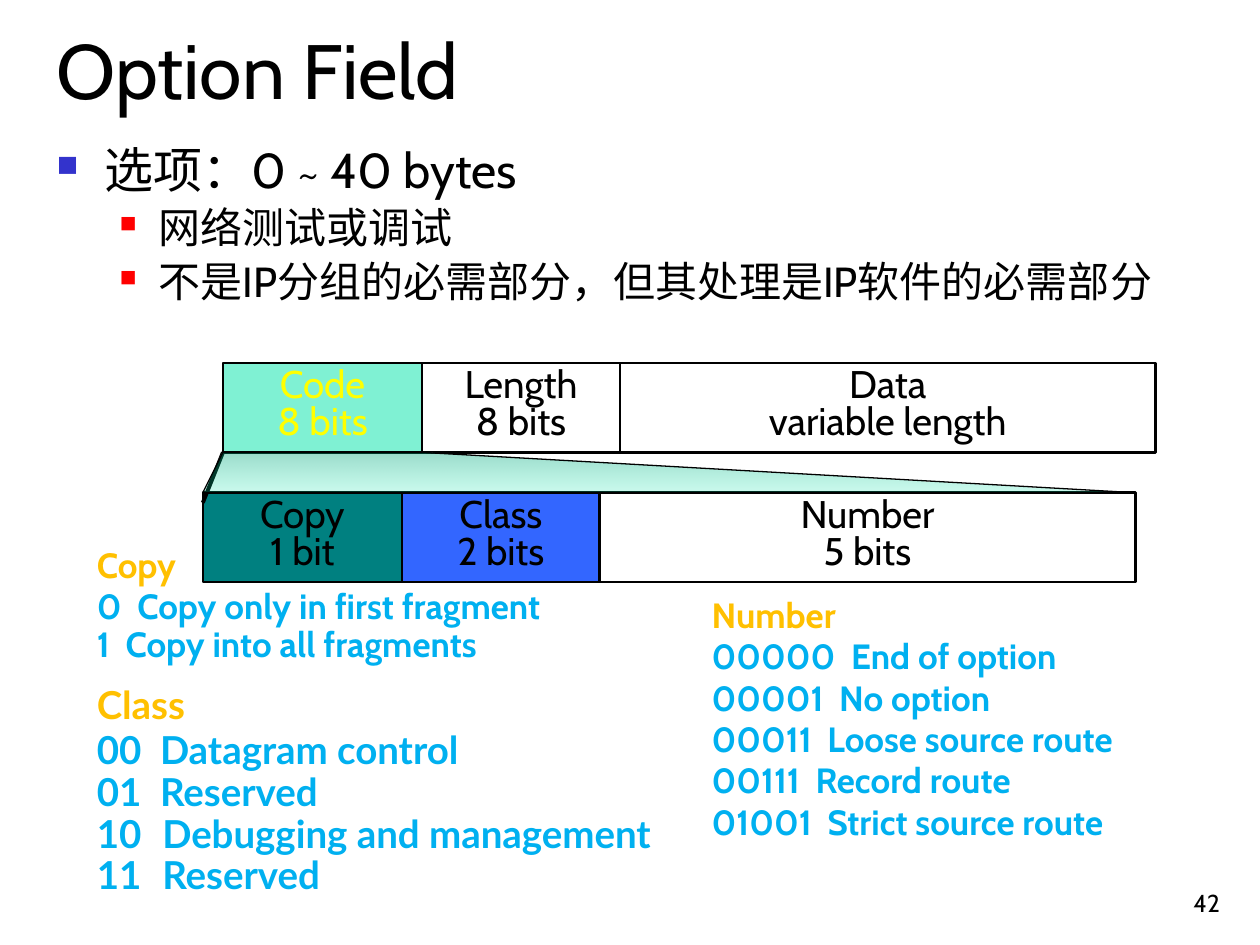
from dataclasses import dataclass

from lxml import etree
from pptx import Presentation
from pptx.dml.color import RGBColor
from pptx.enum.shapes import MSO_CONNECTOR, MSO_SHAPE
from pptx.enum.text import MSO_ANCHOR, PP_ALIGN
from pptx.oxml.ns import qn
from pptx.util import Inches, Pt

RECTANGLE = MSO_SHAPE.RECTANGLE
STRAIGHT = MSO_CONNECTOR.STRAIGHT
LEFT, CENTER, RIGHT = PP_ALIGN.LEFT, PP_ALIGN.CENTER, PP_ALIGN.RIGHT
TOP, BOTTOM = MSO_ANCHOR.TOP, MSO_ANCHOR.BOTTOM


@dataclass(frozen=True)
class Theme:
    font: str = "Cabin"
    class_font: str = "Lato"
    ink: str = "000000"
    heading: str = "FFC000"
    value: str = "00B0F0"
    code_text: str = "FFFF00"
    code: str = "00E4A8"
    code_dark: str = "00A378"
    copy: str = "008080"
    klass: str = "3366FF"
    topic_mark: str = "3333CC"
    point_mark: str = "FF0000"
    title_size: int = 44
    topic_size: int = 28
    point_size: int = 24
    cell_size: int = 22
    list_size: int = 20
    page_size: int = 14


THEME = Theme()
SLIDE_W, SLIDE_H = Inches(10), Inches(7.5)
COLUMNS = 1000
UNIT = SLIDE_W // COLUMNS

TITLE = "Option Field"
PAGE = "42"
TOPIC = "选项：0 ~ 40 bytes"
POINTS = ["网络测试或调试", "不是IP分组的必需部分，但其处理是IP软件的必需部分"]

FIELD_WIDTHS = (158, 157, 425)
FIELD_HEIGHT = 71
OPTION_AT, CODE_AT = (177, 288), (161, 391)
OPTION_FIELDS = [
    (["Code", "8 bits"], THEME.code, 50, THEME.code_text),
    (["Length", "8 bits"], None, None, THEME.ink),
    (["Data", "variable length"], None, None, THEME.ink),
]
CODE_FIELDS = [
    (["Copy", "1 bit"], THEME.copy, None, THEME.ink),
    (["Class", "2 bits"], THEME.klass, None, THEME.ink),
    (["Number", "5 bits"], None, None, THEME.ink),
]

COPY_VALUES = ["0  Copy only in first fragment", "1  Copy into all fragments"]
CLASS_VALUES = ["00  Datagram control", "01  Reserved"]
CLASS_NUMBERED = ["Debugging and management", "Reserved"]
NUMBER_VALUES = [
    "00000  End of option",
    "00001  No option",
    "00011  Loose source route",
    "00111  Record route",
    "01001  Strict source route",
]


def add_xml(parent, tag, **attributes):
    return etree.SubElement(parent, qn(tag), attributes)


def write(frame, text, size=THEME.list_size, color=THEME.ink, font=THEME.font,
          bold=False, align=LEFT, spacing=None, before=0, after=0, level=0,
          margin=0, hanging=0, mark=None, mark_color=None, mark_size=100, start=None):
    paragraph = frame.paragraphs[0]
    if paragraph.runs:
        paragraph = frame.add_paragraph()
    paragraph.alignment, paragraph.level = align, level
    paragraph.line_spacing = spacing
    paragraph.space_before, paragraph.space_after = Pt(before), Pt(after)
    run = paragraph.add_run()
    run.text = text
    run.font.name, run.font.size, run.font.bold = font, Pt(size), bold
    run.font.color.rgb = RGBColor.from_string(color)
    properties = paragraph._p.get_or_add_pPr()
    properties.set("marL", str(margin * UNIT))
    properties.set("indent", str(-hanging * UNIT))
    if mark:
        add_xml(add_xml(properties, "a:buClr"), "a:srgbClr", val=mark_color)
        add_xml(properties, "a:buSzPct", val=str(mark_size * 1000))
        add_xml(properties, "a:buChar", char=mark)
    elif start:
        add_xml(properties, "a:buAutoNum", type="arabicPlain", startAt=str(start))


def text_area(slide, left, top, width, height, anchor=TOP):
    frame = slide.shapes.add_textbox(
        left * UNIT, top * UNIT, width * UNIT, height * UNIT).text_frame
    frame.word_wrap, frame.vertical_anchor = True, anchor
    return frame


def set_opacity(shape, *percents):
    for color, percent in zip(shape._element.spPr.iter(qn("a:srgbClr")), percents):
        add_xml(color, "a:alpha", val=str(percent * 1000))


def set_outline(line, points):
    line.color.rgb = RGBColor.from_string(THEME.ink)
    line.width = Pt(points)


def field_row(slide, origin, fields):
    left, top = origin
    for width, (lines, fill, opacity, color) in zip(FIELD_WIDTHS, fields):
        field = slide.shapes.add_shape(
            RECTANGLE, left * UNIT, top * UNIT, width * UNIT, FIELD_HEIGHT * UNIT)
        field.shadow.inherit = False
        if fill:
            field.fill.solid()
            field.fill.fore_color.rgb = RGBColor.from_string(fill)
        else:
            field.fill.background()
        if opacity:
            set_opacity(field, opacity)
        set_outline(field.line, 1.5)
        field.text_frame.word_wrap = True
        field.text_frame.vertical_anchor = TOP
        for text in lines:
            write(field.text_frame, text, size=THEME.cell_size, color=color,
                  align=CENTER, spacing=0.8)
        left += width


def value_list(frame, heading, values, gap=0, **style):
    style = dict(bold=True, spacing=0.9, **style)
    write(frame, heading, color=THEME.heading, after=2, **style)
    for text in values:
        write(frame, text, color=THEME.value, after=gap, **style)


def expansion(slide):
    option_left, option_bottom = OPTION_AT[0], OPTION_AT[1] + FIELD_HEIGHT
    code_left, code_top = CODE_AT
    edge = slide.shapes.add_connector(
        STRAIGHT, option_left * UNIT, option_bottom * UNIT,
        code_left * UNIT, (code_top + 8) * UNIT)
    set_outline(edge.line, 2.25)
    add_xml(edge._element.spPr, "a:effectLst")

    outline = slide.shapes.build_freeform(option_left, option_bottom, scale=UNIT)
    outline.add_line_segments([
        (code_left, code_top),
        (code_left + sum(FIELD_WIDTHS), code_top),
        (option_left + FIELD_WIDTHS[0], option_bottom),
    ], close=True)
    funnel = outline.convert_to_shape()
    funnel.shadow.inherit = False
    funnel.fill.gradient()
    funnel.fill.gradient_angle = 270
    for stop, color in zip(funnel.fill.gradient_stops, (THEME.code_dark, THEME.code)):
        stop.color.rgb = RGBColor.from_string(color)
    set_opacity(funnel, 40, 20)
    set_outline(funnel.line, 0.75)


def main():
    deck = Presentation()
    deck.slide_width, deck.slide_height = SLIDE_W, SLIDE_H
    slide = deck.slides.add_slide(deck.slide_layouts[6])

    write(text_area(slide, 770, 683, 208, 50, BOTTOM), PAGE,
          size=THEME.page_size, align=RIGHT)
    write(text_area(slide, 35, 13, 929, 134), TITLE, size=THEME.title_size)
    body = text_area(slide, 35, 111, 929, 165)
    write(body, TOPIC, size=THEME.topic_size, spacing=0.9, before=5.6, margin=38,
          hanging=38, mark="■", mark_color=THEME.topic_mark, mark_size=60)
    for point in POINTS:
        write(body, point, size=THEME.point_size, spacing=0.9, before=4.8, level=1,
              margin=81, hanging=31, mark="■", mark_color=THEME.point_mark, mark_size=55)

    field_row(slide, OPTION_AT, OPTION_FIELDS)
    field_row(slide, CODE_AT, CODE_FIELDS)

    value_list(text_area(slide, 67, 430, 457, 105), "Copy", COPY_VALUES)
    classes = text_area(slide, 67, 540, 504, 181)
    class_style = dict(size=THEME.cell_size, font=THEME.class_font, margin=52, hanging=52)
    value_list(classes, "Class", CLASS_VALUES, **class_style)
    for text in CLASS_NUMBERED:
        write(classes, text, color=THEME.value, bold=True, spacing=0.9, start=10,
              **class_style)
    value_list(text_area(slide, 555, 470, 394, 209), "Number", NUMBER_VALUES, gap=2)

    expansion(slide)
    deck.save("out.pptx")


if __name__ == "__main__":
    main()
